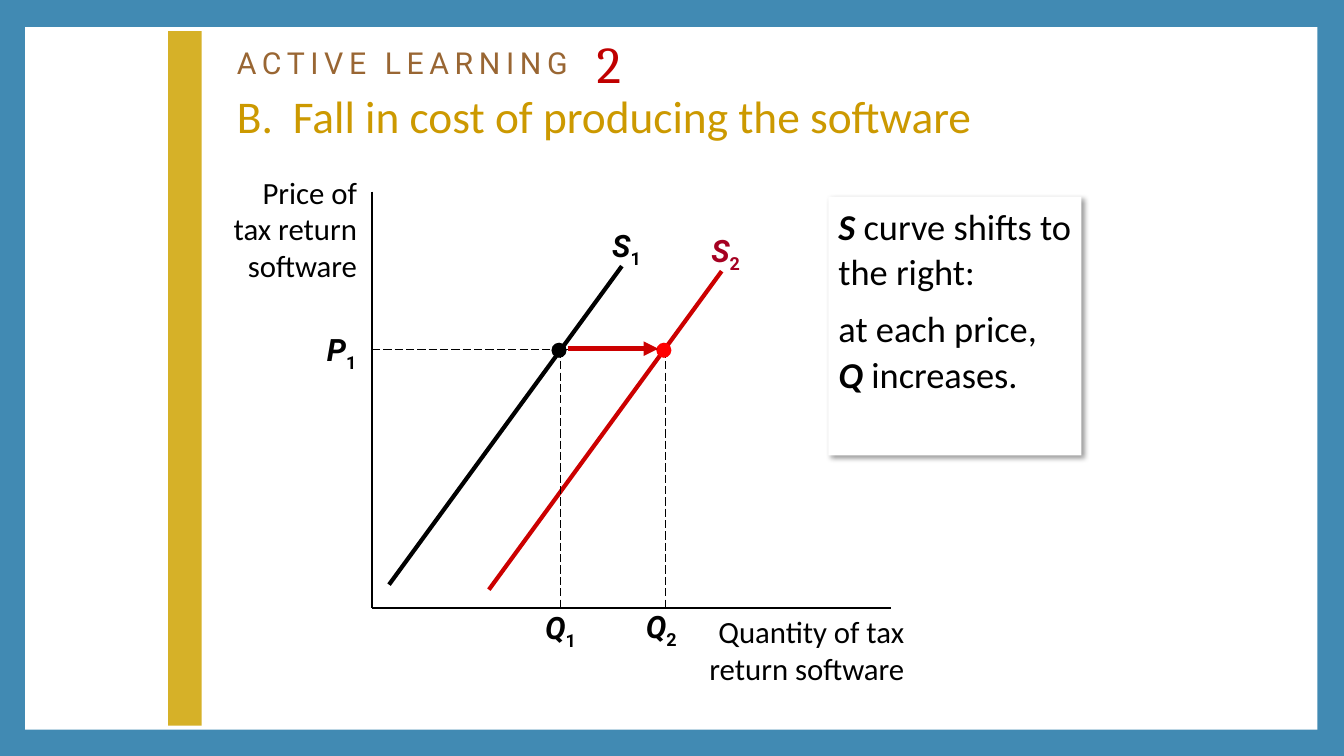
from dataclasses import dataclass

from lxml.etree import SubElement
from pptx import Presentation
from pptx.dml.color import RGBColor
from pptx.enum.dml import MSO_LINE_DASH_STYLE as Dash
from pptx.enum.shapes import MSO_CONNECTOR as Connector, MSO_SHAPE as Preset
from pptx.enum.text import MSO_ANCHOR as Anchor, MSO_AUTO_SIZE as AutoSize, PP_ALIGN as Align
from pptx.oxml.ns import qn
from pptx.util import Pt

COLORS = {
    "frame": "418AB3", "white": "FFFFFF", "black": "000000", "gold": "D6B128",
    "supply": "CC0000", "supply_label": "A50021", "dot": "FF0000",
    "kicker": "996633", "number": "C00000", "title": "CC9900",
}
AXIS_X, AXIS_Y = 265.7, 434.2
PRICE_Y, Q1_X, Q2_X = 249.9, 400.3, 475.2
DOT_SIZE = 10.8
LABEL_HEIGHT = 33.8


@dataclass
class Line:
    start: tuple[float, float]
    end: tuple[float, float]
    width: float = 0.75
    color: str = "black"
    dashed: bool = False
    arrow: bool = False


@dataclass
class Block:
    left: float
    top: float
    width: float
    height: float
    color: str
    preset: Preset = Preset.RECTANGLE


@dataclass
class CurveLabel:
    letter: str
    index: str
    left: float
    top: float
    width: float = 47.5
    color: str = "black"


@dataclass
class AxisTitle:
    text: str
    left: float
    top: float
    width: float
    height: float


def color_of(name: str) -> RGBColor:
    return RGBColor.from_string(COLORS[name])


def add_span(para, text: str, *, size: float, font: str = "Calibri", color: str = "black",
             bold: bool = False, italic: bool = False, baseline: int = 0, spacing: float = 0):
    span = para.add_run()
    span.text = text
    span.font.size = Pt(size)
    span.font.name = font
    span.font.color.rgb = color_of(color)
    span.font.bold = bold
    span.font.italic = italic
    properties = span.font._element
    if baseline:
        properties.set("baseline", str(baseline * 1000))
    if spacing:
        properties.set("spc", str(round(spacing * 100)))
    return span


def add_block(page, block: Block):
    shape = page.shapes.add_shape(block.preset, Pt(block.left), Pt(block.top),
                                  Pt(block.width), Pt(block.height))
    shape.shadow.inherit = False
    shape.fill.solid()
    shape.fill.fore_color.rgb = color_of(block.color)
    shape.line.fill.background()
    return shape


def add_line(page, line: Line) -> None:
    connector = page.shapes.add_connector(Connector.STRAIGHT, *map(Pt, line.start + line.end))
    connector.line.width = Pt(line.width)
    connector.line.color.rgb = color_of(line.color)
    if line.dashed:
        connector.line.dash_style = Dash.LONG_DASH
    if line.arrow:
        SubElement(connector.line._get_or_add_ln(), qn("a:tailEnd"), type="triangle")
    SubElement(connector.element.spPr, qn("a:effectLst"))


def add_text_para(page, left: float, top: float, width: float, height: float, align: Align):
    box = page.shapes.add_textbox(Pt(left), Pt(top), Pt(width), Pt(height))
    box.text_frame.word_wrap = True
    box.text_frame.auto_size = AutoSize.SHAPE_TO_FIT_TEXT
    para = box.text_frame.paragraphs[0]
    para.alignment = align
    return para


def add_label(page, label: CurveLabel) -> None:
    para = add_text_para(page, label.left, label.top, label.width, LABEL_HEIGHT, Align.CENTER)
    style = dict(size=22, font="Roboto", color=label.color, bold=True)
    add_span(para, label.letter, italic=True, **style)
    add_span(para, label.index, baseline=-25, **style)


def add_axis_title(page, title: AxisTitle) -> None:
    para = add_text_para(page, title.left, title.top, title.width, title.height, Align.RIGHT)
    add_span(para, title.text, size=22)


def add_note(page) -> None:
    note = add_block(page, Block(591.8, 140.4, 180.7, 185, "white"))
    effects = note.element.spPr.find(qn("a:effectLst"))
    shadow = SubElement(effects, qn("a:outerShdw"), blurRad=str(Pt(4)), dist=str(Pt(3)),
                        dir="2700000", algn="tl", rotWithShape="0")
    shade = SubElement(shadow, qn("a:srgbClr"), val=COLORS["black"])
    SubElement(shade, qn("a:alpha"), val="40000")
    frame = note.text_frame
    frame.word_wrap = True
    frame.vertical_anchor = Anchor.TOP
    shift, effect = frame.paragraphs[0], frame.add_paragraph()
    for para in (shift, effect):
        para.alignment = Align.LEFT
        para.line_spacing = 1.05
    effect.space_before = Pt(8)
    add_span(shift, "S", size=26, bold=True, italic=True)
    add_span(shift, " curve shifts to the right:", size=26)
    add_span(effect, "at each price,", size=26)
    effect.add_line_break()
    add_span(effect, "Q", size=26, bold=True, italic=True)
    add_span(effect, " increases.", size=26)


def format_title(page) -> None:
    title = page.shapes.title
    title.left, title.top, title.width, title.height = map(Pt, (162, 12.2, 666, 74.9))
    title.element.getparent().append(title.element)
    frame = title.text_frame
    frame.word_wrap = True
    frame.auto_size = AutoSize.NONE
    frame.vertical_anchor = Anchor.MIDDLE
    para = frame.paragraphs[0]
    para.alignment = Align.LEFT
    para.line_spacing = 0.9
    tabs = SubElement(para._p.get_or_add_pPr(), qn("a:tabLst"))
    for position in (40, 257):
        SubElement(tabs, qn("a:tab"), pos=str(Pt(position)), algn="l")
    add_span(para, "ACTIVE LEARNING\t", size=21.6, font="Roboto", color="kicker", spacing=4)
    add_span(para, "2", size=63.9, font="Cambria", color="number", baseline=-10)
    para.add_line_break()
    add_span(para, "B.\tFall in cost of producing the software", size=32.4, color="title")


def main() -> None:
    deck = Presentation()
    deck.slide_width, deck.slide_height = Pt(960), Pt(540)
    page = deck.slides.add_slide(deck.slide_layouts[5])
    page.background.fill.solid()
    page.background.fill.fore_color.rgb = color_of("frame")

    add_block(page, Block(18, 19.4, 923, 501.8, "white"))
    add_block(page, Block(120.2, 22.3, 23.8, 496.1, "gold"))
    add_note(page)

    lines = [
        Line((AXIS_X, 136.8), (AXIS_X, AXIS_Y), 1),
        Line((AXIS_X, AXIS_Y), (636.5, AXIS_Y), 1),
        Line((444.2, 190.1), (277.9, 417.6), 3),
        Line((515.5, 193.7), (349.2, 421.2), 3, "supply"),
        Line((AXIS_X, PRICE_Y), (Q1_X, PRICE_Y), dashed=True),
        Line((Q1_X, PRICE_Y), (Q2_X, PRICE_Y), dashed=True),
        Line((Q1_X, PRICE_Y), (Q1_X, AXIS_Y), dashed=True),
        Line((Q2_X, PRICE_Y), (Q2_X, AXIS_Y), dashed=True),
    ]
    for line in lines:
        add_line(page, line)
    for quantity_x, color in ((Q1_X, "black"), (Q2_X, "dot")):
        add_block(page, Block(quantity_x - 6.4, PRICE_Y - 5.1, DOT_SIZE, DOT_SIZE, color, Preset.OVAL))
    add_line(page, Line((405.4, 249.1), (470.2, 249.1), 3.5, "supply", arrow=True))

    labels = [
        CurveLabel("S", "1", 427, 158.4, 41),
        CurveLabel("S", "2", 494.6, 162, color="supply_label"),
        CurveLabel("P", "1", 220.3, 232.6),
        CurveLabel("Q", "1", 376.6, 431.3),
        CurveLabel("Q", "2", 448.6, 430.6),
    ]
    for label in labels:
        add_label(page, label)
    add_axis_title(page, AxisTitle("Price of tax return software", 151.2, 120.2, 110.9, 87.1))
    add_axis_title(page, AxisTitle("Quantity of tax return software", 478.8, 434.2, 174.2, 59.8))
    format_title(page)
    deck.save("out.pptx")


if __name__ == "__main__":
    main()
